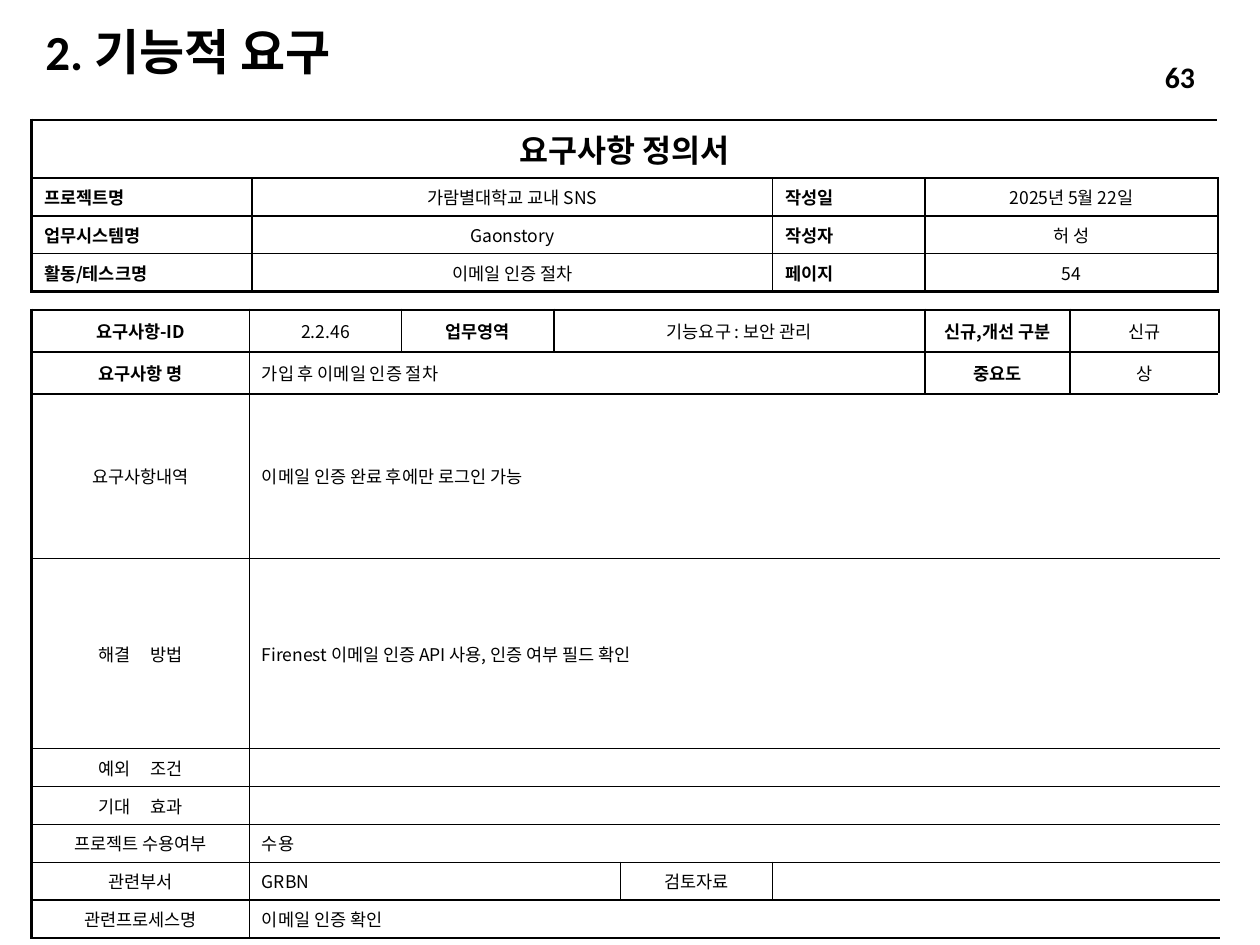
from dataclasses import dataclass

from lxml import etree
from pptx import Presentation
from pptx import util as u
from pptx.dml import color
from pptx.enum import text
from pptx.oxml import ns


@dataclass(frozen=True)
class Theme:
    ink: str = "000000"
    latin: str = "Calibri"
    korean: str = "Noto Sans CJK KR"
    title: float = 28
    page: float = 17
    heading: float = 18
    body: float = 10
    thin: float = 1
    thick: float = 1.5
    word_gap: float = 9


ALIGN = text.PP_ALIGN
# Cell roles: alignment, bold
ROLES = {
    "heading": (ALIGN.CENTER, True),
    "name": (ALIGN.JUSTIFY, True),
    "label": (ALIGN.CENTER, True),
    "value": (ALIGN.CENTER, False),
    "note": (ALIGN.LEFT, False),
}


class FormSlide:
    def __init__(self, slide, theme):
        self.slide = slide
        self.theme = theme

    def format(self, paragraph, size, font, bold, align):
        paragraph.alignment = align
        for run in paragraph.runs:
            run.font.size = u.Pt(size)
            run.font.name = font
            run.font.bold = bold
            run.font.color.rgb = color.RGBColor.from_string(self.theme.ink)
            east_asian = etree.SubElement(run.font._element, ns.qn("a:ea"))
            east_asian.set("typeface", self.theme.korean)

    def place_text(self, box, area, words, size, align):
        box.left, box.top, box.width, box.height = map(u.Pt, area)
        frame = box.text_frame
        frame.text = words
        frame.word_wrap = True
        frame.vertical_anchor = text.MSO_ANCHOR.MIDDLE
        self.format(frame.paragraphs[0], size, self.theme.latin, True, align)
        return frame

    def title(self, words, area):
        frame = self.place_text(self.slide.shapes.title, area, words,
                                self.theme.title, ALIGN.LEFT)
        frame.auto_size = text.MSO_AUTO_SIZE.NONE
        frame.paragraphs[0].line_spacing = 0.9

    def page_number(self, words, area):
        box = self.slide.shapes.add_textbox(*map(u.Pt, area))
        self.place_text(box, area, words, self.theme.page, ALIGN.RIGHT)

    def borders(self, cell, edges):
        """Draw the given edges, a dict of side letter to line width."""
        properties = cell._tc.get_or_add_tcPr()
        for side in "LRTB":
            if side in edges:
                line = etree.SubElement(properties, ns.qn(f"a:ln{side}"),
                                        w=str(u.Pt(edges[side])))
                fill = etree.SubElement(line, ns.qn("a:solidFill"))
                etree.SubElement(fill, ns.qn("a:srgbClr"), val=self.theme.ink)

    def fill_cell(self, cell, words, role):
        paragraph = cell.text_frame.paragraphs[0]
        if "|" in words:  # a wide gap between the two words
            first, second = words.split("|")
            for part in (first, " ", second):
                paragraph.add_run().text = part
            gap = paragraph.runs[1].font._element
            gap.set("spc", str(int(self.theme.word_gap * 100)))
        else:
            paragraph.text = words
        align, bold = ROLES[role]
        size = self.theme.heading if role == "heading" else self.theme.body
        self.format(paragraph, size, self.theme.korean, bold, align)

    def table(self, left, top, widths, heights, rows, heavy_rules=(),
              anchor=text.MSO_ANCHOR.MIDDLE):
        """Each row lists (words, columns spanned, role)."""
        thin, thick = self.theme.thin, self.theme.thick
        grid = self.slide.shapes.add_table(
            len(heights), len(widths), u.Pt(left), u.Pt(top),
            u.Pt(sum(widths)), u.Pt(sum(heights))).table
        grid.first_row = grid.horz_banding = False
        for column, width in zip(grid.columns, widths):
            column.width = u.Pt(width)
        for row, height in zip(grid.rows, heights):
            row.height = u.Pt(height)

        heavy = {0, len(heights), *heavy_rules}
        for r, entries in enumerate(rows):
            start = 0
            for words, span, role in entries:
                end = start + span
                for c in range(start, end):
                    edges = {"T": thick if r in heavy else thin,
                             "B": thick if r + 1 in heavy else thin}
                    if c == start:
                        edges["L"] = thick if c == 0 else thin
                    if c == end - 1:
                        outer = end == len(widths) and role != "heading"
                        edges["R"] = thick if outer else thin
                    cell = grid.cell(r, c)
                    self.borders(cell, edges)
                    cell.fill.background()
                    cell.vertical_anchor = (text.MSO_ANCHOR.MIDDLE
                                            if role == "heading" else anchor)
                    ending = cell.text_frame.paragraphs[0]._p.get_or_add_endParaRPr()
                    ending.set("sz", str(int(self.theme.body * 100)))
                first_cell = grid.cell(r, start)
                if span > 1:
                    first_cell.merge(grid.cell(r, end - 1))
                if words:
                    self.fill_cell(first_cell, words, role)
                start = end


def main():
    deck = Presentation()
    deck.slide_width, deck.slide_height = u.Pt(720), u.Pt(540)
    form = FormSlide(deck.slides.add_slide(deck.slide_layouts[5]), Theme())
    form.title("2. 기능적 요구", (18.7, 15, 386, 32))

    # Requirement details
    details = [
        [("요구사항-ID", 1, "label"), ("2.2.46", 1, "value"),
         ("업무영역", 1, "label"), ("기능요구 : 보안 관리", 3, "value"),
         ("신규,개선 구분", 1, "label"), ("신규", 1, "value")],
        [("요구사항 명", 1, "label"), ("가입 후 이메일 인증 절차", 5, "note"),
         ("중요도", 1, "label"), ("상", 1, "value")],
    ]
    single_notes = [
        ("요구사항내역", "이메일 인증 완료 후에만 로그인 가능"),
        ("해결|방법", "Firenest 이메일 인증 API 사용, 인증 여부 필드 확인"),
        ("예외|조건", ""),
        ("기대|효과", ""),
        ("프로젝트 수용여부", "수용"),
    ]
    details += [[(item, 1, "value"), (note, 7, "note")]
                for item, note in single_notes]
    details += [
        [("관련부서", 1, "value"), ("GRBN", 3, "note"),
         ("검토자료", 1, "value"), ("", 3, "note")],
        [("관련프로세스명", 1, "value"), ("이메일 인증 확인", 7, "note")],
    ]
    form.table(18, 177, [124.5, 87, 87, 38, 87, 87, 83, 85],
               [24, 24, 94.3, 108.6] + [19.5] * 5, details, heavy_rules=(1, 2))

    # Document header
    facts = [
        ("프로젝트명", "가람별대학교 교내 SNS", "작성일", "2025년 5월 22일"),
        ("업무시스템명", "Gaonstory", "작성자", "허 성"),
        ("활동/테스크명", "이메일 인증 절차", "페이지", "54"),
    ]
    header = [[("요구사항 정의서", 4, "heading")]]
    header += [[(words, 1, role) for words, role in
                zip(fact, ("name", "value") * 2)] for fact in facts]
    form.table(18, 68.4, [126, 297.5, 87, 167.5], [33.3] + [19.5] * 3,
               header, anchor=text.MSO_ANCHOR.TOP)

    form.page_number("63", (573, 29.5, 117, 29))
    deck.save("out.pptx")


if __name__ == "__main__":
    main()
